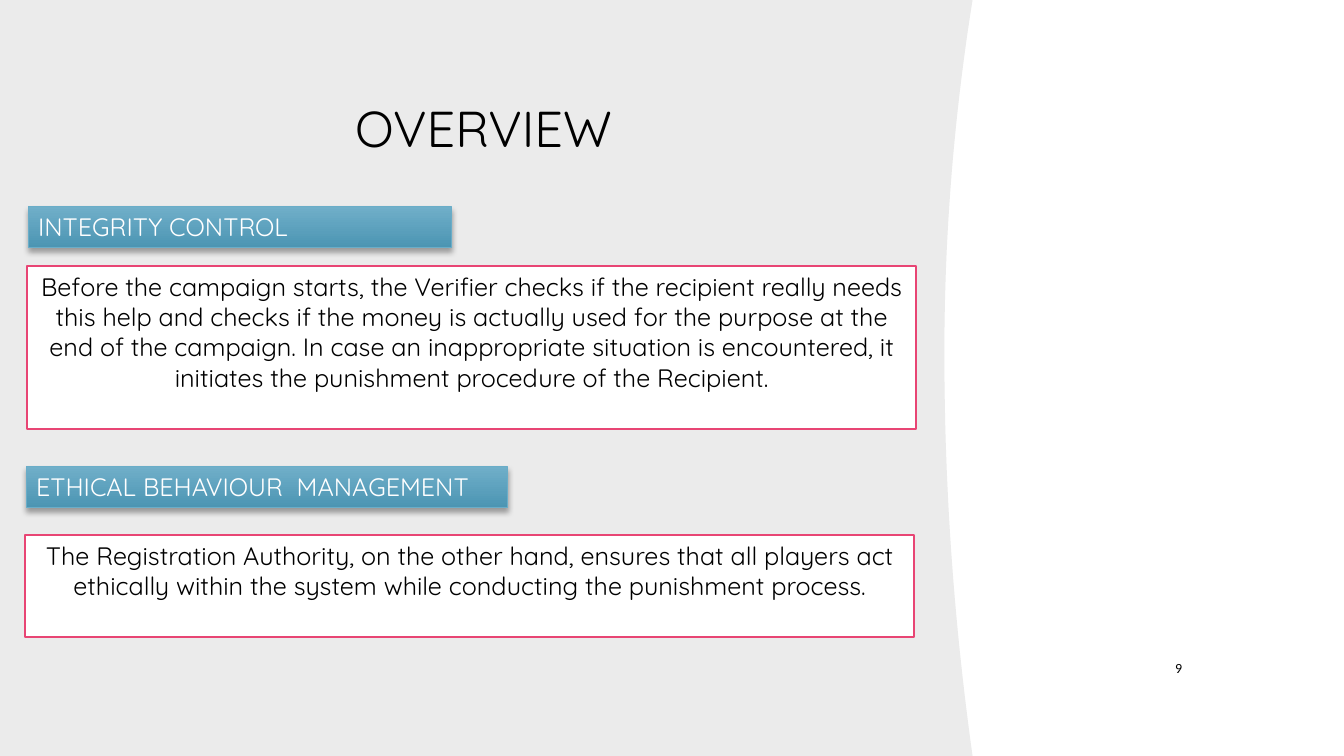
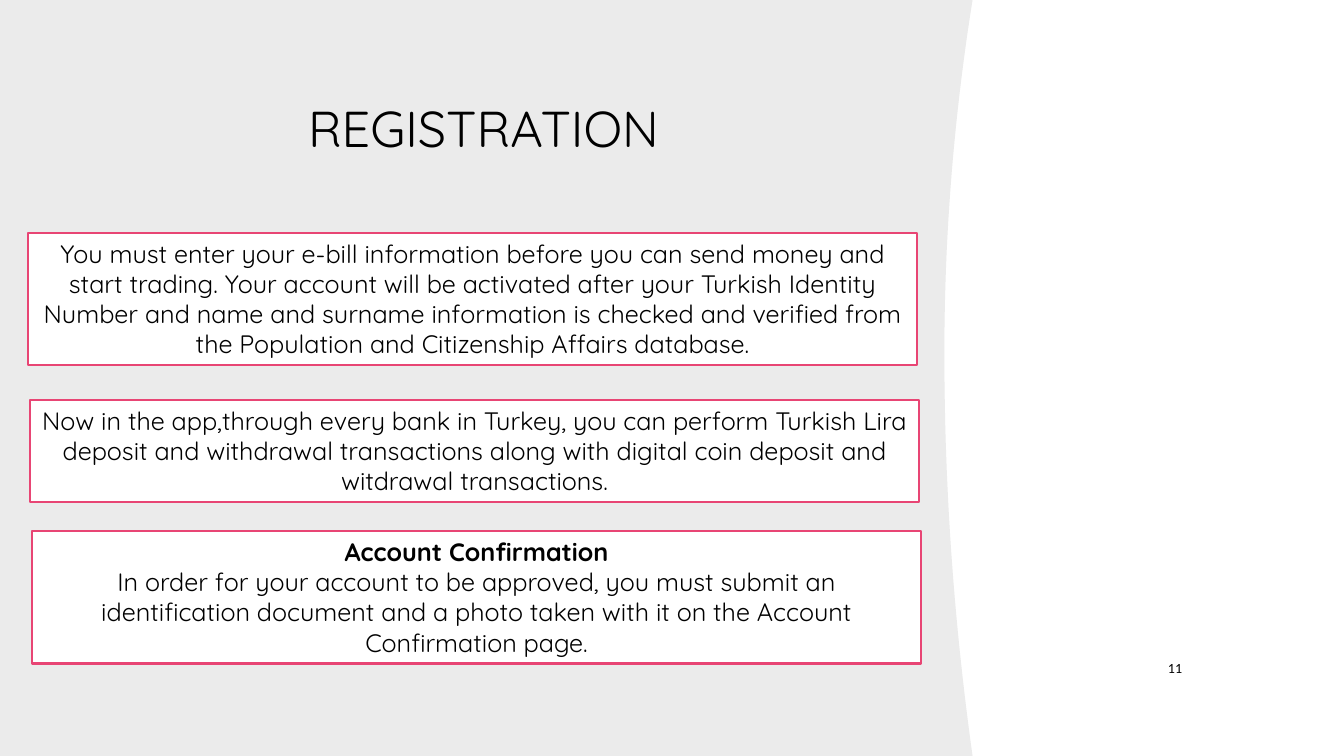
"""Build the overview and registration slides."""
from typing import NamedTuple

from lxml.etree import SubElement
from pptx import Presentation
from pptx.dml.color import RGBColor
from pptx.enum.shapes import MSO_SHAPE as Shape
from pptx.enum.text import MSO_ANCHOR as Anchor, PP_ALIGN as Align
from pptx.oxml.ns import qn
from pptx.util import Cm, Pt

HEADING_FONT, NUMBER_FONT = "Quicksand", "Calibri"
INK, PAPER, BACKDROP, ACCENT = "000000", "FFFFFF", "EBEBEB", "E84574"
CAPTION_TOP, CAPTION_BOTTOM, CAPTION_LINE = "70AFC9", "4C95B3", "6AADC8"


class Box(NamedTuple):
    """A region of the slide in centimetres."""
    left: float
    top: float
    width: float
    height: float

    def lengths(self):
        """Return the four measures as lengths."""
        return [Cm(value) for value in self]


class Run(NamedTuple):
    """A piece of text in one weight."""
    text: str
    bold: bool = False


SLIDE = Box(0, 0, 33.87, 19.05)
CURVED_PANEL = Box(0, 0, 24.51, 19.05)
TITLE = Box(1.9, 1.57, 20.57, 3.3)
PAGE_NUMBER = Box(28.52, 16.31, 1.52, 1.04)
TEXT_WIDTH, CAPTION_HEIGHT = 22.4, 1.02


def color(code):
    """Turn a hex string into a colour."""
    return RGBColor.from_string(code)


def write(shape, paragraphs, size, ink=INK, font=HEADING_FONT,
          align=Align.CENTER, anchor=Anchor.TOP):
    """Write paragraphs of runs into a shape."""
    frame = shape.text_frame
    frame.word_wrap = True
    frame.vertical_anchor = anchor
    for index, runs in enumerate(paragraphs):
        paragraph = frame.add_paragraph() if index else frame.paragraphs[0]
        paragraph.alignment = align
        for piece in runs:
            run = paragraph.add_run()
            run.text = piece.text
            run.font.name = font
            run.font.size = Pt(size)
            run.font.bold = piece.bold
            run.font.color.rgb = color(ink)


def add_curved_panel(slide, box, vertex=8.89, depth=0.71, steps=48):
    """Fill a box whose right edge curves inwards."""
    right, bottom = box.left + box.width, box.top + box.height
    points = []
    for step in range(steps + 1):
        y = box.height * step / steps
        reach = vertex if y < vertex else box.height - vertex
        x = right - depth * (1 - ((y - vertex) / reach) ** 2)
        points.append((Cm(x), Cm(box.top + y)))
    points.append((Cm(box.left), Cm(bottom)))
    builder = slide.shapes.build_freeform(Cm(box.left), Cm(box.top))
    builder.add_line_segments(points, close=True)
    panel = builder.convert_to_shape()
    panel.shadow.inherit = False
    panel.fill.solid()
    panel.fill.fore_color.rgb = color(BACKDROP)
    panel.line.fill.background()


def add_label(slide, box, text, size, **style):
    """Place one line of text in the vertical middle of a box."""
    label = slide.shapes.add_textbox(*box.lengths())
    write(label, [[Run(text)]], size, anchor=Anchor.MIDDLE, **style)


def add_rectangle(slide, box, line, width):
    """Draw an outlined rectangle without a shadow."""
    rectangle = slide.shapes.add_shape(Shape.RECTANGLE, *box.lengths())
    rectangle.shadow.inherit = False
    rectangle.line.color.rgb = color(line)
    rectangle.line.width = Pt(width)
    return rectangle


def add_text_panel(slide, box, paragraphs):
    """Draw a white panel with centred text."""
    panel = add_rectangle(slide, box, ACCENT, 1.5)
    panel.fill.solid()
    panel.fill.fore_color.rgb = color(PAPER)
    write(panel, paragraphs, 18)


def add_drop_shadow(shape):
    """Give a shape a soft shadow below it."""
    effects = shape._element.spPr.find(qn("a:effectLst"))
    shadow = SubElement(effects, qn("a:outerShdw"), blurRad=str(Pt(4)),
                        dist=str(Pt(3)), dir="5400000", rotWithShape="0")
    tint = SubElement(shadow, qn("a:srgbClr"), val=INK)
    SubElement(tint, qn("a:alpha"), val="35000")


def add_caption(slide, box, text):
    """Draw a blue gradient caption bar."""
    bar = add_rectangle(slide, box, CAPTION_LINE, 0.75)
    bar.fill.gradient()
    bar.fill.gradient_angle = 270
    for stop, code in zip(bar.fill.gradient_stops, (CAPTION_TOP, CAPTION_BOTTOM)):
        stop.color.rgb = color(code)
    add_drop_shadow(bar)
    write(bar, [[Run(text)]], 18, PAPER, align=Align.LEFT)


def add_base_slide(presentation, title, number):
    """Add a slide with the curved panel, title and page number."""
    slide = presentation.slides.add_slide(presentation.slide_layouts[6])
    add_curved_panel(slide, CURVED_PANEL)
    add_label(slide, TITLE, title, 36)
    add_label(slide, PAGE_NUMBER, number, 10, font=NUMBER_FONT, align=Align.RIGHT)
    return slide


def add_overview(presentation):
    """Build the slide with two captioned panels."""
    slide = add_base_slide(presentation, "OVERVIEW", "9")
    sections = [
        ("INTEGRITY CONTROL", Box(0.71, 5.21, 10.67, CAPTION_HEIGHT),
         "Before the campaign starts, the Verifier checks if the recipient really "
         "needs this help and checks if the money is actually used for the purpose "
         "at the end of the campaign. In case an inappropriate situation is "
         "encountered, it initiates the punishment procedure of the Recipient.",
         Box(0.69, 6.71, TEXT_WIDTH, 4.11)),
        ("ETHICAL BEHAVIOUR  MANAGEMENT", Box(0.66, 11.76, 12.12, CAPTION_HEIGHT),
         "The Registration Authority, on the other hand, ensures that all players "
         "act ethically within the system while conducting the punishment process.",
         Box(0.64, 13.49, TEXT_WIDTH, 2.57)),
    ]
    for caption, caption_box, text, text_box in sections:
        add_caption(slide, caption_box, caption)
        add_text_panel(slide, text_box, [[Run(text)]])


def add_registration(presentation):
    """Build the slide with three text panels."""
    slide = add_base_slide(presentation, "REGISTRATION", "11")
    panels = [
        (Box(0.71, 5.87, TEXT_WIDTH, 3.33), [[Run(
            "You must enter your e-bill information before you can send money and "
            "start trading. Your account will be activated after your Turkish "
            "Identity Number and name and surname information is checked and "
            "verified from the Population and Citizenship Affairs database.")]]),
        (Box(0.76, 10.08, TEXT_WIDTH, 2.57), [[Run(
            "Now in the app,through every bank in Turkey, you can perform Turkish "
            "Lira deposit and withdrawal transactions along with digital coin "
            "deposit and witdrawal transactions.")]]),
        (Box(0.81, 13.39, TEXT_WIDTH, 3.33), [
            [Run("Account Confirmation", True)],
            [Run("In order for your account to be approved, you must submit an "
                 "identification document and a photo taken with it on the "
                 "Account Confirmation page.")]]),
    ]
    for box, paragraphs in panels:
        add_text_panel(slide, box, paragraphs)


def main():
    """Build and save the presentation."""
    presentation = Presentation()
    presentation.slide_width = Cm(SLIDE.width)
    presentation.slide_height = Cm(SLIDE.height)
    add_overview(presentation)
    add_registration(presentation)
    presentation.save("out.pptx")


if __name__ == "__main__":
    main()
